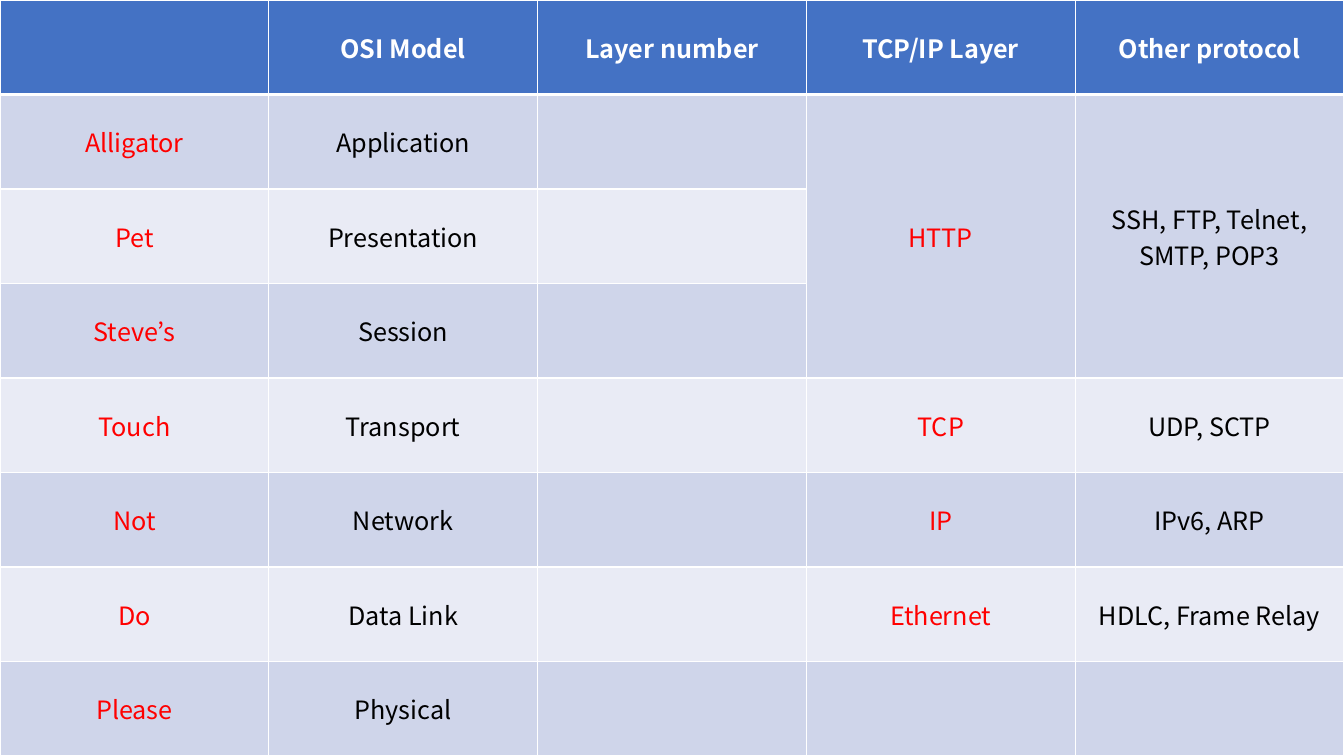
from pptx import Presentation
from pptx.dml.color import RGBColor as RGB
from pptx.enum.text import MSO_ANCHOR as Anchor, PP_ALIGN as Align
from pptx.oxml.ns import qn
from pptx.util import Inches, Pt
from lxml.etree import SubElement as Sub

WIDE, HIGH = 13.33, 7.5
BLUE, DARK, LIGHT = "4472C4", "CFD5EA", "E9EBF5"
WHITE, BLACK, RED = "FFFFFF", "000000", "FF0000"
HEAD = ["", "OSI Model", "Layer number", "TCP/IP Layer", "Other protocol"]
LAYERS = [
    ["Alligator", "Application", "", "HTTP", "SSH, FTP, Telnet, SMTP, POP3"],
    ["Pet", "Presentation", "", "", ""],
    ["Steve’s", "Session", "", "", ""],
    ["Touch", "Transport", "", "TCP", "UDP, SCTP"],
    ["Not", "Network", "", "IP", "IPv6, ARP"],
    ["Do", "Data Link", "", "Ethernet", "HDLC, Frame Relay"],
    ["Please", "Physical", "", "", ""],
]
RED_COLS = (0, 3)
MERGED_COLS = (3, 4)


def color(code):
    """Turn a hex string into a colour."""
    return RGB.from_string(code)


class Deck:
    """Holds the text style and the current slide."""

    font = "Noto Sans CJK KR"
    size = Pt(18)

    def __init__(self, show):
        """Add a blank slide to the show."""
        self.slide = show.slides.add_slide(show.slide_layouts[6])

    def grid(self, rows, cols):
        """Add a slide-wide table with even rows and columns."""
        frame = self.slide.shapes.add_table(
            rows, cols, 0, 0, Inches(WIDE), Inches(HIGH))
        table = frame.table
        for col in table.columns:
            col.width = Inches(WIDE / cols)
        for row in table.rows:
            row.height = Inches(HIGH / rows)
        return table

    def edges(self, cell, top, base):
        """Draw white cell borders, with top and base widths in points."""
        props = cell._tc.get_or_add_tcPr()
        for side, width in zip("LRTB", (1, 1, top, base)):
            line = Sub(props, qn(f"a:ln{side}"), w=str(Pt(width)))
            fill = Sub(line, qn("a:solidFill"))
            Sub(fill, qn("a:srgbClr"), val=WHITE)

    def cell(self, cell, text, back, ink, bold=False):
        """Fill a cell and centre its text."""
        cell.fill.solid()
        cell.fill.fore_color.rgb = color(back)
        cell.vertical_anchor = Anchor.MIDDLE
        para = cell.text_frame.paragraphs[0]
        para.alignment = Align.CENTER
        if text:
            run = para.add_run()
            run.text = text
            font = run.font
            font.name, font.size, font.bold = self.font, self.size, bold
            font.color.rgb = color(ink)


def main():
    """Build the table of layers and save it."""
    show = Presentation()
    show.slide_width, show.slide_height = Inches(WIDE), Inches(HIGH)
    deck = Deck(show)
    rows = [HEAD] + LAYERS
    table = deck.grid(len(rows), len(HEAD))
    for r, row in enumerate(rows):
        head = r == 0
        back = BLUE if head else DARK if r % 2 else LIGHT
        for c, text in enumerate(row):
            ink = WHITE if head else RED if c in RED_COLS else BLACK
            cell = table.cell(r, c)
            deck.edges(cell, 3 if r == 1 else 1, 3 if head else 1)
            deck.cell(cell, text, back, ink, head)
    for c in MERGED_COLS:
        table.cell(1, c).merge(table.cell(3, c))
    show.save("out.pptx")


main()
